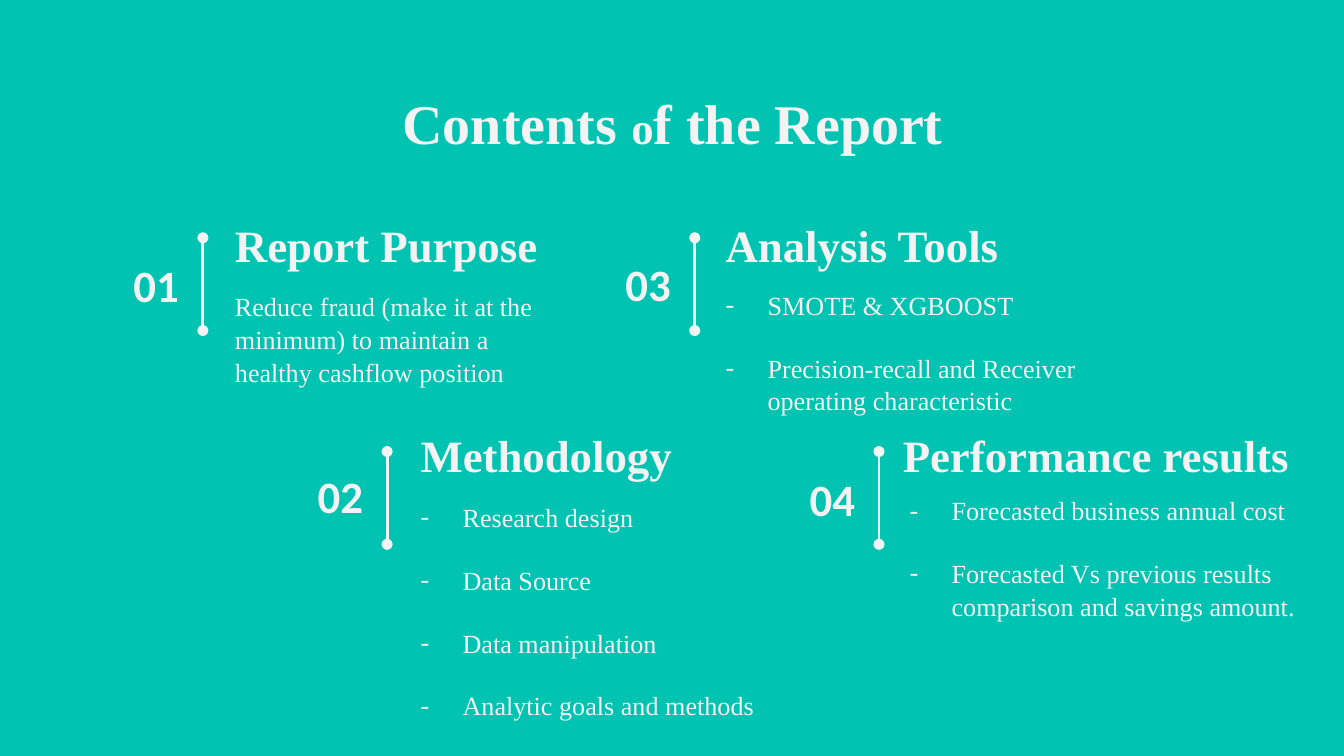
"""Build the contents slide of a fraud report."""
from dataclasses import dataclass

from lxml import etree
from pptx import Presentation
from pptx.dml.color import RGBColor
from pptx.enum import shapes, text
from pptx.oxml import ns
from pptx.util import Pt


@dataclass(frozen=True)
class Theme:
    background: RGBColor = RGBColor(0x00, 0xC3, 0xB1)
    ink: RGBColor = RGBColor(0xF3, 0xF3, 0xF3)
    serif: str = "Times New Roman"
    sans: str = "Calibri"
    title: float = 30
    heading: float = 24
    body: float = 14
    inset: float = 7.2
    indent: float = 22.5
    rule: float = 1.5
    rule_height: float = 49.7
    heading_height: float = 33.1
    number_width: float = 47.5
    number_offset: float = 53.3


@dataclass(frozen=True)
class Box:
    left: float
    top: float
    width: float
    height: float


@dataclass(frozen=True)
class Section:
    number: str
    number_top: float
    rule_x: float
    rule_top: float
    heading: str
    heading_box: Box
    points: tuple[str, ...]
    body_box: Box
    bulleted: bool = True


THEME = Theme()
ROW_1, ROW_2 = 114.5, 226.8
RULE_1, RULE_2 = 127.4, 241.9
SECTIONS = (
    Section("01", 136.1, 108.7, RULE_1, "Report Purpose",
            Box(118.8, ROW_1, 184.3, THEME.heading_height),
            ("Reduce fraud (make it at the minimum) to maintain a healthy cashflow position",),
            Box(118.8, 147.6, 184.3, 56.9), bulleted=False),
    Section("02", 249.1, 207.4, RULE_2, "Methodology",
            Box(218.2, ROW_2, 199.4, THEME.heading_height),
            ("Research design", "Data Source", "Data manipulation", "Analytic goals and methods"),
            Box(218.2, 260.6, 193.7, 123.1)),
    Section("03", 135.4, 372.2, RULE_1, "Analysis Tools",
            Box(381.6, ROW_1, 281.5, THEME.heading_height),
            ("SMOTE & XGBOOST", "Precision-recall and Receiver operating characteristic"),
            Box(381.6, 146.9, 224.6, 78.5)),
    Section("04", 250.6, 470.9, RULE_2, "Performance results",
            Box(476.6, ROW_2, 228.2, THEME.heading_height),
            ("Forecasted business annual cost",
             "Forecasted Vs previous results comparison and savings amount."),
            Box(480.2, 257, 224.6, 79.2)),
)


def style(font, size: float, face: str, bold: bool) -> None:
    font.size, font.name, font.bold = Pt(size), face, bold
    font.color.rgb = THEME.ink


def add_frame(slide, box: Box, anchor):
    frame = slide.shapes.add_textbox(
        Pt(box.left), Pt(box.top), Pt(box.width), Pt(box.height)).text_frame
    frame.word_wrap = True
    frame.vertical_anchor = anchor
    frame.margin_left = frame.margin_right = Pt(THEME.inset)
    frame.margin_top = frame.margin_bottom = Pt(THEME.inset)
    return frame


def add_label(slide, box: Box, words: str, face: str, align) -> None:
    paragraph = add_frame(slide, box, text.MSO_ANCHOR.MIDDLE).paragraphs[0]
    paragraph.text = words
    paragraph.alignment = align
    style(paragraph.font, THEME.heading, face, True)


def add_dash(paragraph) -> None:
    properties = paragraph._p.get_or_add_pPr()
    properties.set("marL", str(Pt(THEME.indent)))
    properties.set("indent", str(-Pt(THEME.indent)))
    color = etree.SubElement(properties, ns.qn("a:buClr"))
    etree.SubElement(color, ns.qn("a:srgbClr"), val=str(THEME.ink))
    etree.SubElement(properties, ns.qn("a:buFont"), typeface=THEME.serif)
    etree.SubElement(properties, ns.qn("a:buChar"), char="-")


def add_body(slide, section: Section) -> None:
    frame = add_frame(slide, section.body_box, text.MSO_ANCHOR.TOP)
    for index, point in enumerate(section.points):
        paragraph = frame.add_paragraph() if index else frame.paragraphs[0]
        paragraph.text = point
        paragraph.line_spacing = 1.05
        paragraph.space_after = Pt(16)
        if section.bulleted:
            add_dash(paragraph)
        style(paragraph.font, THEME.body, THEME.serif, False)


def add_rule(slide, x: float, top: float) -> None:
    rule = slide.shapes.add_connector(
        shapes.MSO_CONNECTOR.STRAIGHT, Pt(x), Pt(top), Pt(x), Pt(top + THEME.rule_height))
    rule.line.color.rgb = THEME.ink
    rule.line.width = Pt(THEME.rule)
    for end in ("a:headEnd", "a:tailEnd"):
        etree.SubElement(rule.line._get_or_add_ln(), ns.qn(end), type="oval")
    etree.SubElement(rule._element.spPr, ns.qn("a:effectLst"))


def add_section(slide, section: Section) -> None:
    number_box = Box(section.rule_x - THEME.number_offset, section.number_top,
                     THEME.number_width, THEME.heading_height)
    add_label(slide, section.heading_box, section.heading, THEME.serif, text.PP_ALIGN.LEFT)
    add_body(slide, section)
    add_label(slide, number_box, section.number, THEME.sans, text.PP_ALIGN.RIGHT)
    add_rule(slide, section.rule_x, section.rule_top)


def add_title(slide) -> None:
    paragraph = add_frame(slide, Box(56.9, 40.3, 607, 45.4), text.MSO_ANCHOR.TOP).paragraphs[0]
    paragraph.alignment = text.PP_ALIGN.CENTER
    for words, size in (("Contents ", THEME.title), ("o", THEME.heading),
                        ("f the Report", THEME.title)):
        run = paragraph.add_run()
        run.text = words
        style(run.font, size, THEME.serif, True)


def main() -> None:
    deck = Presentation()
    deck.slide_width, deck.slide_height = Pt(720), Pt(405)
    slide = deck.slides.add_slide(deck.slide_layouts[6])
    slide.background.fill.solid()
    slide.background.fill.fore_color.rgb = THEME.background
    for section in SECTIONS:
        add_section(slide, section)
    add_title(slide)
    deck.save("out.pptx")


if __name__ == "__main__":
    main()
